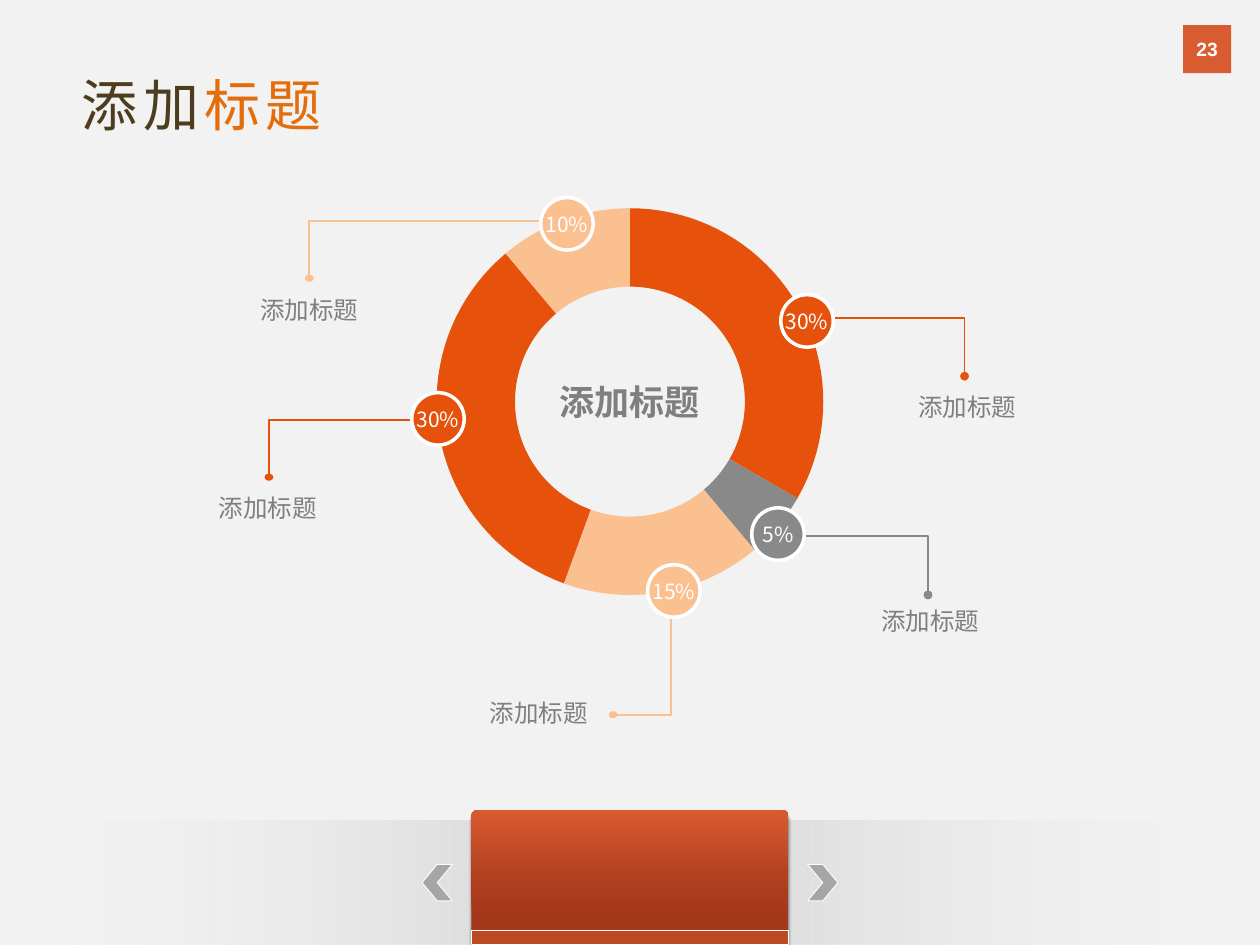
import math

import lxml.etree
import pptx
import pptx.dml.color
import pptx.enum.shapes
import pptx.enum.text
import pptx.oxml.ns
import pptx.util

Pt = pptx.util.Pt
RGB = pptx.dml.color.RGBColor
SHAPE = pptx.enum.shapes.MSO_SHAPE
ALIGN = pptx.enum.text.PP_ALIGN
MIDDLE = pptx.enum.text.MSO_ANCHOR.MIDDLE
qn = pptx.oxml.ns.qn

PAPER = RGB(0xF2, 0xF2, 0xF2)
WHITE = RGB(0xFF, 0xFF, 0xFF)
BROWN = RGB(0x4C, 0x3D, 0x1E)
AMBER = RGB(0xE4, 0x6C, 0x0A)
ORANGE = RGB(0xE6, 0x51, 0x0B)
PEACH = RGB(0xFA, 0xC0, 0x90)
GRAY = RGB(0x89, 0x89, 0x89)
TEXT_GRAY = RGB(0x7F, 0x7F, 0x7F)
ARROW_GRAY = RGB(0xA6, 0xA6, 0xA6)
MID_GRAY = RGB(0xBF, 0xBF, 0xBF)
BRICK = RGB(0xD9, 0x5B, 0x30)
BRICK_MID = RGB(0xB2, 0x41, 0x20)
BRICK_DARK = RGB(0xA5, 0x38, 0x1B)
BRICK_STRIP = RGB(0xBC, 0x4A, 0x22)

CJK = "Noto Sans CJK SC"
CAPTION = "添加标题"
TITLE = [("添加", BROWN), ("标题", AMBER)]
PAGE_NUMBER = "23"

SEGMENTS = [
    dict(value=30, color=ORANGE, badge=(461.2, 183.4), label=(552.9, 232.6),
         leader=[(476.6, 181.8), (551.2, 181.8), (551.2, 215)], dot=(5, 5)),
    dict(value=5, color=GRAY, badge=(444.6, 305.2), label=(531.7, 355),
         leader=[(455.8, 306.4), (530.3, 306.4), (530.3, 340)], dot=(5, 5)),
    dict(value=15, color=PEACH, badge=(385.1, 337.7), label=(307.8, 407.5),
         leader=[(383.4, 334), (383.4, 408.4), (350.4, 408.4)], dot=(5, 4)),
    dict(value=30, color=ORANGE, badge=(250.3, 239.4), label=(153, 290.2),
         leader=[(239, 239.8), (153.7, 239.8), (153.7, 272.7)], dot=(5, 4)),
    dict(value=10, color=PEACH, badge=(324, 127.9), label=(176.8, 177.1),
         leader=[(308, 126.4), (176.8, 126.4), (176.8, 159)], dot=(5, 4)),
]
RING_CENTER = (360, 229.5)
OUTER, INNER = 110.5, 65.7
BADGE = 30
ARC_STEPS = 40


def box(x, y, w, h):
    return Pt(x), Pt(y), Pt(w), Pt(h)


def centered(center, w, h):
    return center[0] - w / 2, center[1] - h / 2, w, h


def style(shape, fill=None, line=None, width=1):
    shape.shadow.inherit = False
    if fill is None:
        shape.fill.background()
    else:
        shape.fill.solid()
        shape.fill.fore_color.rgb = fill
    if line is None:
        shape.line.fill.background()
    else:
        shape.line.color.rgb = line
        shape.line.width = Pt(width)
    return shape


def add_preset(slide, kind, frame, fill, line=None, width=1):
    return style(slide.shapes.add_shape(kind, *box(*frame)), fill, line, width)


def add_outline(slide, points, close):
    points = [(Pt(x), Pt(y)) for x, y in points]
    builder = slide.shapes.build_freeform(*points[0], scale=1.0)
    builder.add_line_segments(points[1:], close=close)
    return builder.convert_to_shape()


def add_run(paragraph, text, size, color, font=CJK, bold=False):
    run = paragraph.add_run()
    run.text = text
    run.font.size = Pt(size)
    run.font.name = font
    run.font.bold = bold
    run.font.color.rgb = color
    properties = run._r.get_or_add_rPr()
    lxml.etree.SubElement(properties, qn("a:ea")).set("typeface", font)
    return properties


def write_centered(shape, text, size, color, font=CJK, bold=False):
    frame = shape.text_frame
    frame.margin_left = frame.margin_right = frame.margin_top = frame.margin_bottom = 0
    frame.word_wrap = False
    frame.vertical_anchor = MIDDLE
    frame.paragraphs[0].alignment = ALIGN.CENTER
    add_run(frame.paragraphs[0], text, size, color, font, bold)


def add_caption(slide, center, w, h, size, bold=False):
    caption = slide.shapes.add_textbox(*box(*centered(center, w, h)))
    write_centered(caption, CAPTION, size, TEXT_GRAY, bold=bold)


def color_element(parent, color, alpha):
    element = lxml.etree.SubElement(parent, qn("a:srgbClr"), val=str(color))
    lxml.etree.SubElement(element, qn("a:alpha"), val=str(alpha * 1000))


def set_gradient(shape, stops, angle):
    shape.fill.gradient()
    gradient = shape._element.spPr.find(qn("a:gradFill"))
    stop_list = gradient.find(qn("a:gsLst"))
    for stop in list(stop_list):
        stop_list.remove(stop)
    for position, color, alpha in stops:
        stop = lxml.etree.SubElement(stop_list, qn("a:gs"), pos=str(position * 1000))
        color_element(stop, color, alpha)
    gradient.find(qn("a:lin")).set("ang", str(angle * 60000))


def add_drop_shadow(shape, color, alpha, blur, distance, angle):
    effects = shape._element.spPr.find(qn("a:effectLst"))
    shadow = lxml.etree.SubElement(
        effects, qn("a:outerShdw"), blurRad=str(Pt(blur)), dist=str(Pt(distance)),
        dir=str(angle * 60000), algn="t", rotWithShape="0")
    color_element(shadow, color, alpha)


def arc(radius, start, end):
    angles = [start + (end - start) * i / ARC_STEPS for i in range(ARC_STEPS + 1)]
    return [(RING_CENTER[0] + radius * math.sin(a),
             RING_CENTER[1] - radius * math.cos(a)) for a in angles]


def add_footer(slide):
    band = add_preset(slide, SHAPE.RECTANGLE, (0, 468.7, 720, 71.3), PAPER)
    set_gradient(band, [(0, PAPER, 0), (50, MID_GRAY, 65), (100, PAPER, 0)], 180)
    for x, rotation in ((461.5, 0), (241.2, 180)):
        chevron = add_preset(slide, SHAPE.CHEVRON, (x, 493.9, 17.3, 20.9),
                             ARROW_GRAY, WHITE, 0.5)
        chevron.rotation = rotation
    ribbon = add_preset(slide, SHAPE.ROUNDED_RECTANGLE, (269.3, 463, 181.4, 90.7), BRICK)
    ribbon.adjustments[0] = 0.04
    set_gradient(ribbon, [(36, BRICK_DARK, 100), (59, BRICK_MID, 100),
                          (100, BRICK, 100)], 270)
    add_drop_shadow(ribbon, RGB(0, 0, 0), 40, 1.5, 2, 90)
    add_preset(slide, SHAPE.RECTANGLE, (269.3, 531.4, 181.4, 8.2), BRICK_STRIP, WHITE, 0.25)


def add_heading(slide):
    number = add_preset(slide, SHAPE.RECTANGLE, (676.1, 14.4, 27.4, 27.4), BRICK)
    write_centered(number, PAGE_NUMBER, 11, WHITE, "Arial", True)
    title = slide.shapes.title
    title.left, title.top, title.width, title.height = box(39.6, 36.7, 163.4, 46.1)
    title.text_frame.word_wrap = False
    title.text_frame.vertical_anchor = MIDDLE
    title.text_frame.paragraphs[0].alignment = ALIGN.LEFT
    for text, color in TITLE:
        add_run(title.text_frame.paragraphs[0], text, 32, color).set("spc", "300")


def add_ring(slide):
    total = sum(segment["value"] for segment in SEGMENTS)
    start = 0
    for segment in SEGMENTS:
        end = start + 2 * math.pi * segment["value"] / total
        slice_points = arc(OUTER, start, end) + arc(INNER, end, start)
        style(add_outline(slide, slice_points, True), segment["color"])
        start = end
    add_caption(slide, RING_CENTER, 121.7, 31.7, 20, True)


def add_callouts(slide):
    for segment in SEGMENTS:
        color, leader = segment["color"], segment["leader"]
        style(add_outline(slide, leader, False), line=color)
        add_preset(slide, SHAPE.OVAL, centered(leader[-1], *segment["dot"]), color)
        badge = add_preset(slide, SHAPE.OVAL, centered(segment["badge"], BADGE, BADGE),
                           color, WHITE, 2)
        write_centered(badge, f"{segment['value']}%", 12, WHITE)
        add_caption(slide, segment["label"], 78.5, 24.5, 14)


def main():
    deck = pptx.Presentation()
    deck.slide_width, deck.slide_height = Pt(720), Pt(540)
    slide = deck.slides.add_slide(deck.slide_layouts[5])
    slide.background.fill.solid()
    slide.background.fill.fore_color.rgb = PAPER
    add_footer(slide)
    add_heading(slide)
    add_ring(slide)
    add_callouts(slide)
    deck.save("out.pptx")


if __name__ == "__main__":
    main()
